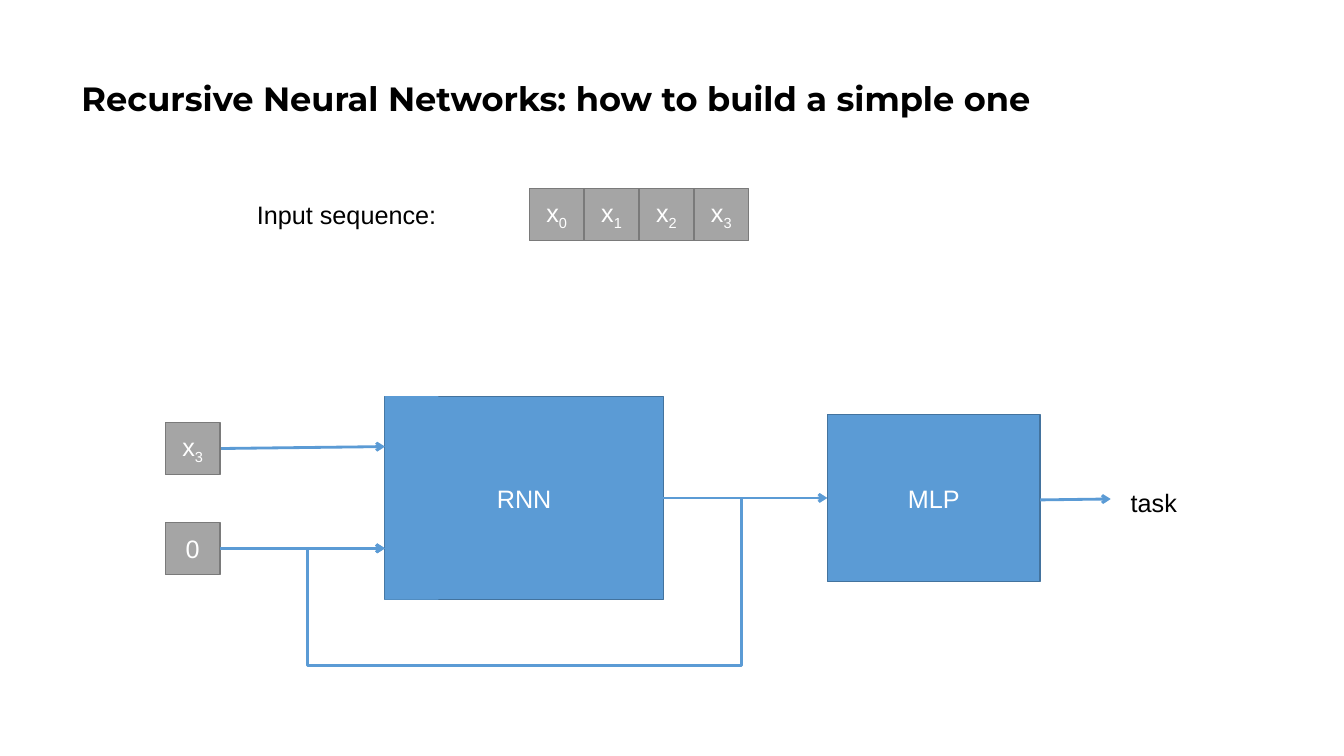
from pptx import Presentation
from pptx.util import Pt
from pptx.dml.color import RGBColor
from pptx.enum.shapes import MSO_CONNECTOR, MSO_SHAPE
from pptx.enum.text import MSO_ANCHOR, MSO_AUTO_SIZE, PP_ALIGN
from pptx.oxml.ns import qn
from lxml.etree import SubElement

COLOURS = {
    "black": "000000", "white": "FFFFFF",
    "block": "5B9BD5", "block_edge": "43739E",
    "cell": "A5A5A5", "cell_edge": "7A7A7A",
}
CELL_WIDTH, CELL_HEIGHT = 39.2, 37.4
BODY = {"name": "Arial", "size": Pt(18)}
HEADING = {"name": "Montserrat", "size": Pt(24), "bold": True}
CENTRED = {"vertical_anchor": MSO_ANCHOR.MIDDLE, "word_wrap": True}
LABEL = {"word_wrap": False, "auto_size": MSO_AUTO_SIZE.SHAPE_TO_FIT_TEXT}


def colour(key):
    return RGBColor.from_string(COLOURS[key])


def apply(target, values):
    for attribute, value in values.items():
        setattr(target, attribute, value)


def write(frame, text, ink, frame_format, align=PP_ALIGN.LEFT, font=BODY, subscript=""):
    apply(frame, frame_format)
    paragraph = frame.paragraphs[0]
    paragraph.alignment = align
    for part in filter(None, (text, subscript)):
        run = paragraph.add_run()
        run.text = part
        apply(run.font, font)
        run.font.color.rgb = colour(ink)
    if subscript:
        run.font._element.set("baseline", "-25000")
    return paragraph


def add_box(slide, box, kind, text="", subscript="", edged=True):
    rectangle = slide.shapes.add_shape(MSO_SHAPE.RECTANGLE, *map(Pt, box))
    rectangle.shadow.inherit = False
    rectangle.fill.solid()
    rectangle.fill.fore_color.rgb = colour(kind)
    if edged:
        rectangle.line.color.rgb = colour(kind + "_edge")
        rectangle.line.width = Pt(1)
    else:
        rectangle.line.fill.background()
    if text:
        write(rectangle.text_frame, text, "white", CENTRED, PP_ALIGN.CENTER, subscript=subscript)


def add_label(slide, box, text):
    label = slide.shapes.add_textbox(*map(Pt, box))
    write(label.text_frame, text, "black", LABEL)


def add_arrow(slide, start, end, kind=MSO_CONNECTOR.STRAIGHT):
    arrow = slide.shapes.add_connector(kind, *map(Pt, (*start, *end)))
    arrow.line.color.rgb = colour("block")
    arrow.line.width = Pt(2)
    SubElement(arrow.line._get_or_add_ln(), qn("a:tailEnd"), type="arrow")
    SubElement(arrow._element.spPr, qn("a:effectLst"))
    return arrow


def add_feedback(slide, start, end, bends):
    loop = add_arrow(slide, start, end, MSO_CONNECTOR.ELBOW)
    geometry = loop._element.spPr.find(qn("a:prstGeom"))
    geometry.set("prst", "bentConnector5")
    guides = geometry.get_or_add_avLst()
    for number, bend in enumerate(bends, 1):
        SubElement(guides, qn("a:gd"), name=f"adj{number}", fmla=f"val {round(bend * 100000)}")


def build_title(slide, box):
    title = slide.shapes.title
    apply(title, dict(zip(("left", "top", "width", "height"), map(Pt, box))))
    heading = write(title.text_frame, "Recursive Neural Networks: how to build a simple one",
                    "black", CENTRED, font=HEADING)
    heading.line_spacing = 0.9


def build_sequence(slide, box):
    left, top, width, height = box
    cells_left = left + width - 4 * CELL_WIDTH
    for step in range(4):
        add_box(slide, (cells_left + step * CELL_WIDTH, top, CELL_WIDTH, height),
                "cell", "x", str(step))
    add_label(slide, (left, top + 4.4, 159, 28.8), "Input sequence:")


def build_network(slide, box):
    left, top, width, height = box
    rnn_left, rnn_width, rnn_height = left + 157, 198.8, 145.4
    rnn_right, middle = rnn_left + rnn_width, top + rnn_height / 2
    mlp_left, mlp_width = left + 473, 152
    mlp_right = mlp_left + mlp_width
    cell_right = left + CELL_WIDTH
    state_y = top + 108.7

    add_box(slide, (rnn_left, top, rnn_width, rnn_height), "block", "RNN")
    add_arrow(slide, (cell_right, top + 37.4), (rnn_left, top + 36))
    add_arrow(slide, (rnn_right, middle), (mlp_left, middle))
    for half_top in (top, middle):
        add_box(slide, (rnn_left, half_top, 38.2, rnn_height / 2), "block", edged=False)
    add_box(slide, (left, top + 90, CELL_WIDTH, CELL_HEIGHT), "cell", "0")
    add_arrow(slide, (cell_right, state_y), (rnn_left, state_y))

    loop_start, loop_end = (rnn_right, middle), (rnn_left, state_y)
    out_x, back_x, bottom = rnn_right + 56, rnn_left - 55.4, top + height
    add_feedback(slide, loop_start, loop_end, (
        (rnn_right - out_x) / rnn_width,
        (bottom - middle) / (state_y - middle),
        (rnn_right - back_x) / rnn_width))

    add_box(slide, (left, top + 18.7, CELL_WIDTH, CELL_HEIGHT), "cell", "x", "3")
    add_box(slide, (mlp_left, top + 13, mlp_width, 119.5), "block", "MLP")
    add_arrow(slide, (mlp_right, middle + 1.4), (mlp_right + 50.4, middle + 0.7))
    add_label(slide, (left + width - 52.6, top + 61.2, 52.6, 28.8), "task")


deck = Presentation()
apply(deck, {"slide_width": Pt(960), "slide_height": Pt(540)})
rnn_slide = deck.slides.add_slide(deck.slide_layouts[5])
build_title(rnn_slide, (51, 20, 828, 104.4))
build_sequence(rnn_slide, (176.4, 134.6, 358.4, CELL_HEIGHT))
build_network(rnn_slide, (118, 283, 735.2, 192.2))
deck.save("out.pptx")
